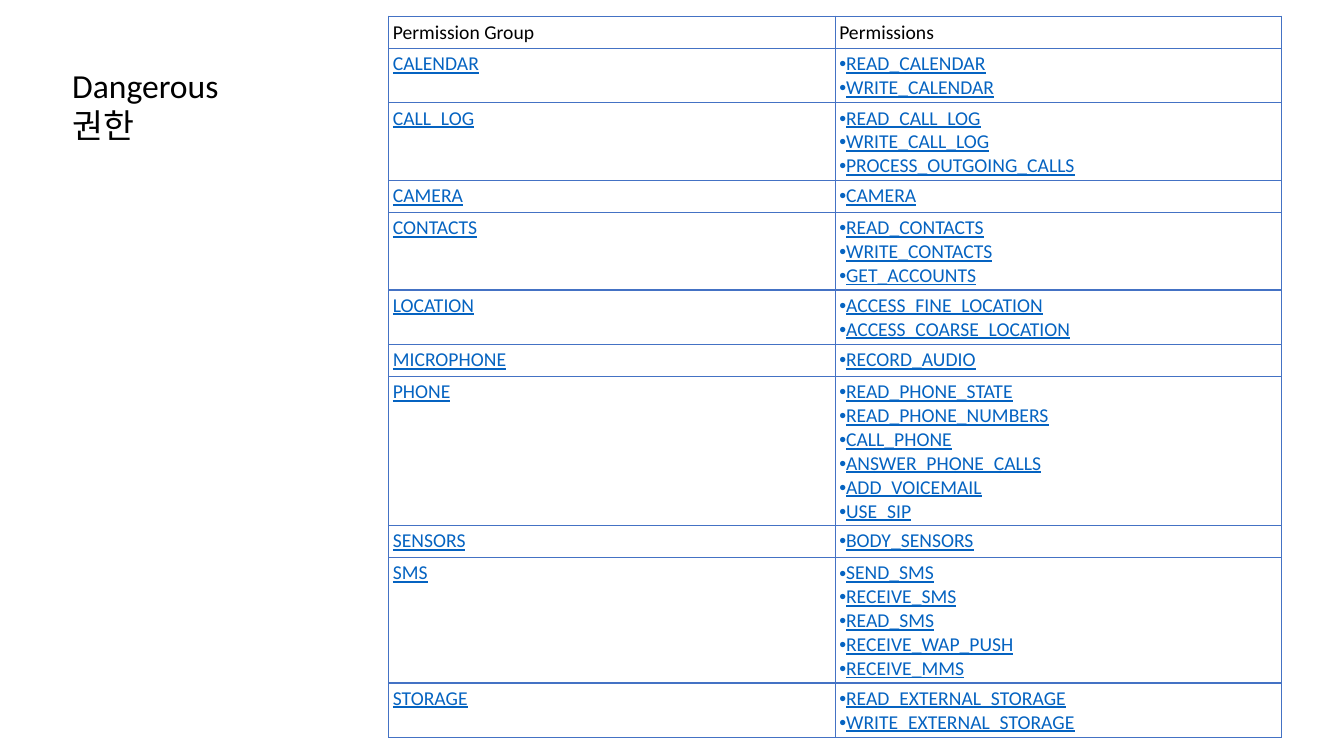
from lxml import etree
from pptx import Presentation
from pptx import util as u
from pptx.dml import color
from pptx.enum import text as t
from pptx.oxml import ns

COLORS = {"ink": "000000", "link": "0563C1", "border": "4472C4", "paper": "FFFFFF"}
FONT, BULLET_FONT = "Calibri", "Arial"
SIDE_INSET, TOP_INSET, BOTTOM_INSET = 0.1, 0.09, 0.06
LINE_ROW, EXTRA_LINE = 0.81, 0.56
HEADINGS = ("Permission Group", "Permissions")
PERMISSIONS = {
    "CALENDAR": ["READ_CALENDAR", "WRITE_CALENDAR"],
    "CALL_LOG": ["READ_CALL_LOG", "WRITE_CALL_LOG", "PROCESS_OUTGOING_CALLS"],
    "CAMERA": ["CAMERA"],
    "CONTACTS": ["READ_CONTACTS", "WRITE_CONTACTS", "GET_ACCOUNTS"],
    "LOCATION": ["ACCESS_FINE_LOCATION", "ACCESS_COARSE_LOCATION"],
    "MICROPHONE": ["RECORD_AUDIO"],
    "PHONE": ["READ_PHONE_STATE", "READ_PHONE_NUMBERS", "CALL_PHONE",
              "ANSWER_PHONE_CALLS", "ADD_VOICEMAIL", "USE_SIP"],
    "SENSORS": ["BODY_SENSORS"],
    "SMS": ["SEND_SMS", "RECEIVE_SMS", "READ_SMS", "RECEIVE_WAP_PUSH", "RECEIVE_MMS"],
    "STORAGE": ["READ_EXTERNAL_STORAGE", "WRITE_EXTERNAL_STORAGE"],
}


def add_element(parent, tag, **attributes):
    return etree.SubElement(parent, ns.qn(tag), attributes)


def write_text(frame, lines, size=14, ink="ink", underline=False, bullet=None):
    for index, line in enumerate(lines):
        para = frame.add_paragraph() if index else frame.paragraphs[0]
        para.text = line
        for span in para.runs:
            span.font.name = FONT
            span.font.size = u.Pt(size)
            span.font.underline = underline
            span.font.color.rgb = color.RGBColor.from_string(COLORS[ink])
        if bullet:
            properties = para._p.get_or_add_pPr()
            add_element(properties, "a:buFont", typeface=BULLET_FONT)
            add_element(properties, "a:buChar", char=bullet)


def style_cell(cell):
    cell.margin_left = cell.margin_right = u.Cm(SIDE_INSET)
    cell.margin_top = u.Cm(TOP_INSET)
    cell.margin_bottom = u.Cm(BOTTOM_INSET)
    properties = cell._tc.get_or_add_tcPr()
    for side in "LRTB":
        line = add_element(properties, f"a:ln{side}", w=str(u.Pt(1)))
        fill = add_element(line, "a:solidFill")
        add_element(fill, "a:srgbClr", val=COLORS["border"])
    cell.fill.solid()
    cell.fill.fore_color.rgb = color.RGBColor.from_string(COLORS["paper"])


def add_title(page, box):
    frame = page.shapes.add_textbox(*map(u.Cm, box)).text_frame
    frame.word_wrap = False
    write_text(frame, ["Dangerous\v권한"], size=24)


def add_permission_table(page, box):
    table = page.shapes.add_table(len(PERMISSIONS) + 1, len(HEADINGS), *map(u.Cm, box)).table
    table.horz_banding = False
    for column in table.columns:
        column.width = u.Cm(box[2] / len(HEADINGS))
    for row in table.rows:
        for cell in row.cells:
            style_cell(cell)
    table.rows[0].height = u.Cm(LINE_ROW)
    for cell, heading in zip(table.rows[0].cells, HEADINGS):
        cell.vertical_anchor = t.MSO_ANCHOR.MIDDLE
        write_text(cell.text_frame, [heading])
    for index, (group, names) in enumerate(PERMISSIONS.items(), 1):
        table.rows[index].height = u.Cm(LINE_ROW + EXTRA_LINE * (len(names) - 1))
        group_cell, names_cell = table.rows[index].cells
        write_text(group_cell.text_frame, [group], ink="link", underline=True)
        write_text(names_cell.text_frame, names, ink="link", underline=True, bullet="•")


deck = Presentation()
deck.slide_width, deck.slide_height = u.Cm(33.87), u.Cm(19.05)
page = deck.slides.add_slide(deck.slide_layouts[6])
add_permission_table(page, (9.8, 0.41, 22.5, 18.2))
add_title(page, (1.57, 1.5, 6.15, 1.27))
deck.save("out.pptx")
